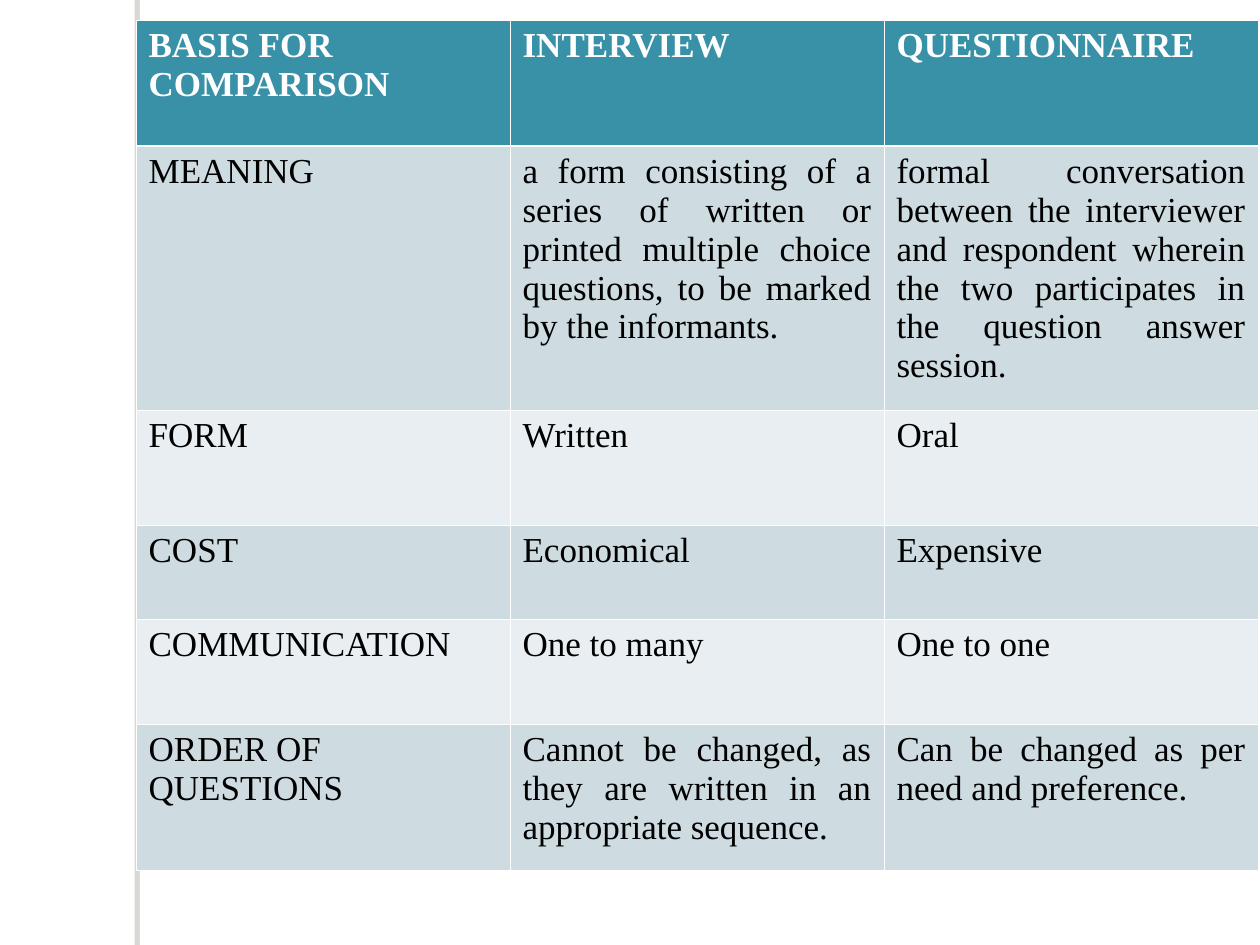
from lxml.etree import SubElement
from pptx import Presentation
from pptx.dml.color import RGBColor
from pptx.enum.shapes import MSO_SHAPE
from pptx.enum.text import PP_ALIGN
from pptx.oxml.ns import qn
from pptx.util import Pt

EMU_PER_PX = 914400 / 126
WHITE, BLACK = "FFFFFF", "000000"
HEADER_FILL = "3891A7"
BAND_FILLS = ("CEDCE1", "E8EEF1")

COLUMN_WIDTH = 374
ROW_HEIGHTS = (126, 264, 115, 94, 105, 147)
COMPARISON = (
    ("BASIS FOR COMPARISON", "INTERVIEW", "QUESTIONNAIRE"),
    ("MEANING",
     "a form consisting of a series of written or printed multiple choice "
     "questions, to be marked by the informants.",
     "formal conversation between the interviewer and respondent wherein "
     "the two participates in the question answer session."),
    ("FORM", "Written", "Oral"),
    ("COST", "Economical", "Expensive"),
    ("COMMUNICATION", "One to many", "One to one"),
    ("ORDER OF QUESTIONS",
     "Cannot be changed, as they are written in an appropriate sequence.",
     "Can be changed as per need and preference."),
)


def px(length):
    return round(length * EMU_PER_PX)


def rgb(code):
    return RGBColor.from_string(code)


def write_text(frame, text, color=BLACK, bold=False, align=None):
    paragraph = frame.paragraphs[0]
    paragraph.alignment = align
    run = paragraph.add_run()
    run.text = text
    run.font.name = "Times New Roman"
    run.font.size = Pt(20)
    run.font.bold = bold
    run.font.color.rgb = rgb(color)


def set_borders(cell, **widths):
    """Draw white borders; widths in points, keyed by side L, R, T, B in that order."""
    properties = cell._tc.get_or_add_tcPr()
    for side, width in widths.items():
        line = SubElement(properties, qn(f"a:ln{side}"), w=str(Pt(width)))
        fill = SubElement(line, qn("a:solidFill"))
        SubElement(fill, qn("a:srgbClr"), val=WHITE)


def add_side_strip(slide):
    strip = slide.shapes.add_shape(
        MSO_SHAPE.RECTANGLE, px(140), 0, px(10), px(945))
    strip.fill.solid()
    strip.fill.fore_color.rgb = rgb(WHITE)
    strip.line.fill.background()
    strip.shadow.inherit = False
    # Hard grey shadow cast to the left
    effects = strip._element.spPr.find(qn("a:effectLst"))
    shadow = SubElement(effects, qn("a:outerShdw"), blurRad="0",
                        dist=str(Pt(3)), dir="10800000", algn="tl", rotWithShape="0")
    shade = SubElement(shadow, qn("a:srgbClr"), val="706B5F")
    SubElement(shade, qn("a:alpha"), val="25000")


def add_comparison_table(slide):
    table = slide.shapes.add_table(
        len(COMPARISON), 3, px(136), px(20),
        px(3 * COLUMN_WIDTH), px(sum(ROW_HEIGHTS))).table
    for column in table.columns:
        column.width = px(COLUMN_WIDTH)
    for row, height in zip(table.rows, ROW_HEIGHTS):
        row.height = px(height)

    for r, entries in enumerate(COMPARISON):
        header = r == 0
        for c, entry in enumerate(entries):
            cell = table.cell(r, c)
            set_borders(cell, L=0.45, R=0.45,
                        T=1.47 if r == 1 else 0.45,
                        B=1.47 if header else 0.45)
            cell.fill.solid()
            cell.fill.fore_color.rgb = rgb(
                HEADER_FILL if header else BAND_FILLS[(r - 1) % 2])
            # Headings and the two-line last label stay left-aligned
            ragged = header or entry == "ORDER OF QUESTIONS"
            write_text(cell.text_frame, entry,
                       color=WHITE if header else BLACK, bold=header,
                       align=PP_ALIGN.LEFT if ragged else PP_ALIGN.JUSTIFY)


def main():
    presentation = Presentation()
    presentation.slide_width, presentation.slide_height = px(1260), px(945)
    slide = presentation.slides.add_slide(presentation.slide_layouts[6])
    add_side_strip(slide)
    add_comparison_table(slide)
    presentation.save("out.pptx")


if __name__ == "__main__":
    main()
